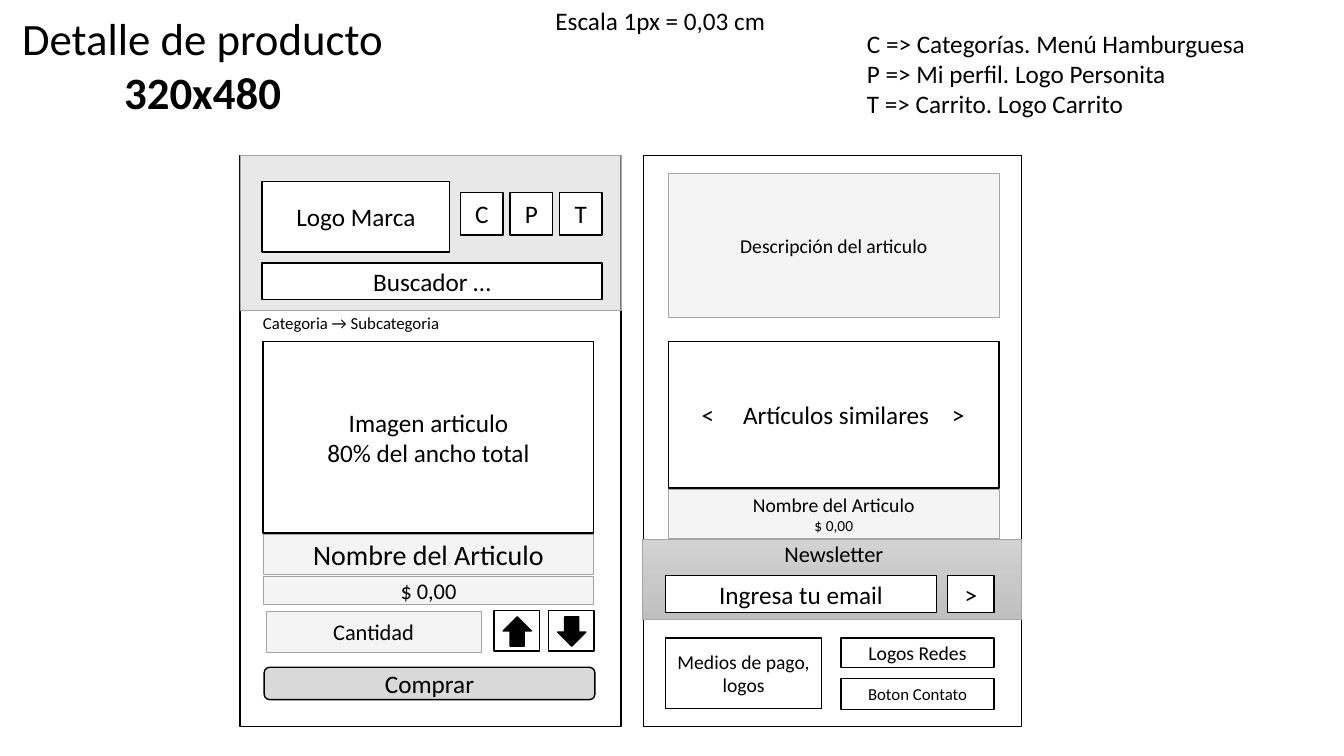
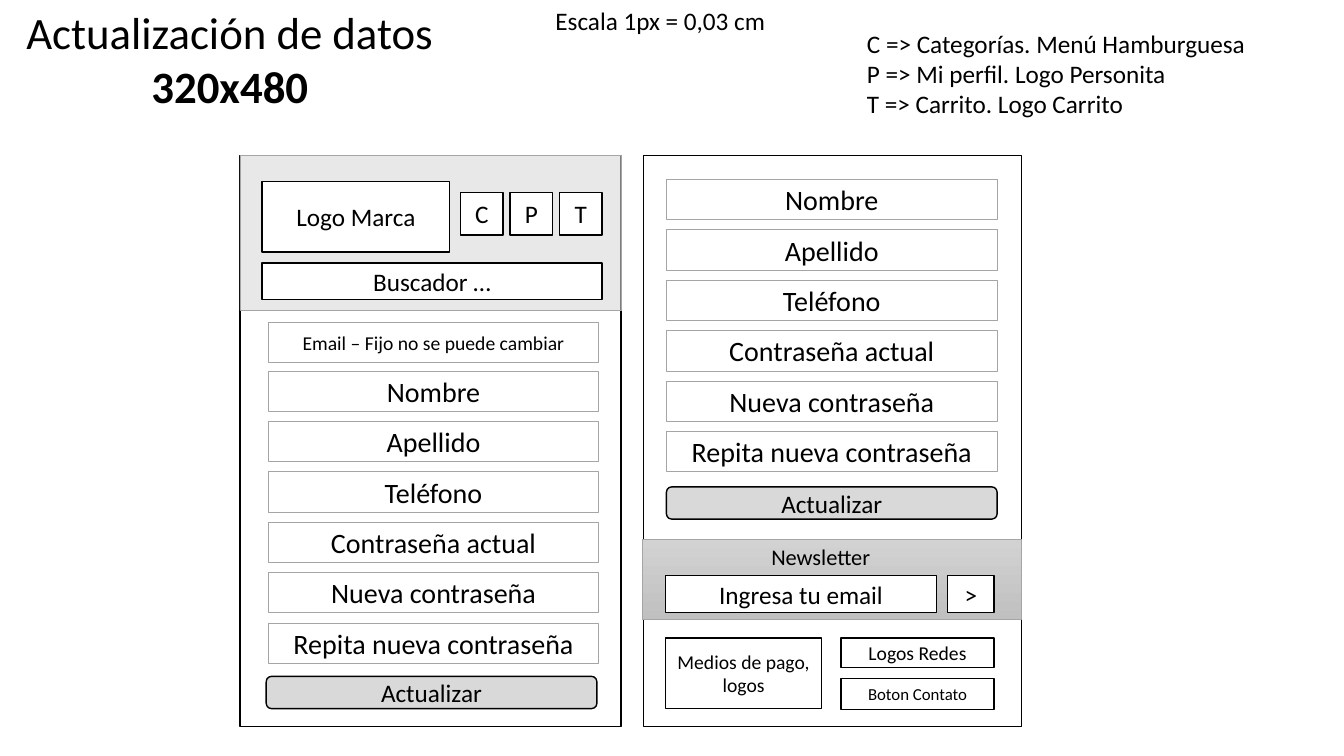
"""Builds two mobile wireframe slides: product detail and data update."""
from lxml import etree
from pptx import Presentation
from pptx.dml.color import RGBColor
from pptx.enum import shapes, text
from pptx.oxml import ns
from pptx.util import Inches, Pt

COLORS = {"ink": "000000", "paper": "FFFFFF", "gray": "D9D9D9", "edge": "A5A5A5",
          "band_top": "D2D2D2", "band_bottom": "C0C0C0"}
FONT = "Calibri"
RECT = shapes.MSO_SHAPE.RECTANGLE
CENTER, LEFT = text.PP_ALIGN.CENTER, text.PP_ALIGN.LEFT
FIELD_W, FIELD_H, FIELD_STEP = 3.28, 0.4, 0.5
FIELDS = ["Nombre", "Apellido", "Teléfono", "Contraseña actual",
          "Nueva contraseña", "Repita nueva contraseña"]
LEGEND = ["C => Categorías. Menú Hamburguesa", "P => Mi perfil. Logo Personita",
          "T => Carrito. Logo Carrito"]


def rgb(name):
    return RGBColor.from_string(COLORS[name])


def write(frame, lines, sizes, align=CENTER, bold_last=False):
    """Fill a text frame with one run per line; sizes is one size or one per line."""
    if isinstance(sizes, (int, float)):
        sizes = [sizes] * len(lines)
    for index, (line, size) in enumerate(zip(lines, sizes)):
        paragraph = frame.paragraphs[0] if index == 0 else frame.add_paragraph()
        paragraph.alignment = align
        run = paragraph.add_run()
        run.text = line
        run.font.name, run.font.size = FONT, Pt(size)
        run.font.color.rgb = rgb("ink")
        run.font.bold = bold_last and index == len(lines) - 1


def box(parent, at, lines=(), size=18, fill="paper", edge="ink", alpha=None, kind=RECT):
    """Add an outlined shape with centred text."""
    shape = parent.shapes.add_shape(kind, *map(Inches, at))
    shape.shadow.inherit = False
    shape.fill.solid()
    shape.fill.fore_color.rgb = rgb(fill)
    if alpha:
        tint = shape._element.spPr.find(ns.qn("a:solidFill"))[0]
        etree.SubElement(tint, ns.qn("a:alpha"), val=str(alpha * 1000))
    shape.line.color.rgb = rgb(edge)
    shape.line.width = Pt(1 if edge == "ink" else 0.5)
    shape.text_frame.vertical_anchor = text.MSO_ANCHOR.MIDDLE
    write(shape.text_frame, lines, size)
    return shape


def pale(slide, at, lines, size):
    return box(slide, at, lines, size, "gray", "edge", alpha=28)


def button(slide, left, top, label):
    box(slide, (left, top, FIELD_W, 0.32), [label], fill="gray",
        kind=shapes.MSO_SHAPE.ROUNDED_RECTANGLE)


def label(slide, at, lines, size=18, align=LEFT, wrap=False):
    """Add plain text without an outline."""
    frame = slide.shapes.add_textbox(*map(Inches, at)).text_frame
    frame.word_wrap = wrap
    frame.auto_size = text.MSO_AUTO_SIZE.SHAPE_TO_FIT_TEXT
    write(frame, lines, size, align)


def title(slide, at, name):
    """Place and format the title placeholder."""
    heading = slide.shapes.title
    heading.left, heading.top, heading.width, heading.height = map(Inches, at)
    frame = heading.text_frame
    frame.word_wrap = False
    frame.auto_size = text.MSO_AUTO_SIZE.SHAPE_TO_FIT_TEXT
    frame.vertical_anchor = text.MSO_ANCHOR.TOP
    write(frame, [name, "320x480"], 32, bold_last=True)


def header(slide):
    """Draw the left screen with logo, icons and search."""
    box(slide, (2.38, 1.54, 3.78, 5.67))
    box(slide, (2.38, 1.54, 3.78, 1.54), fill="gray", edge="edge", alpha=58)
    box(slide, (2.6, 1.8, 1.86, 0.7), ["Logo Marca"])
    for index, icon in enumerate("CPT"):
        box(slide, (4.57 + 0.49 * index, 1.91, 0.42, 0.42), [icon])
    box(slide, (2.6, 2.61, 3.37, 0.36), ["Buscador …"])


def footer(slide, newsletter_at):
    """Draw the right screen with newsletter band and footer boxes."""
    box(slide, (6.38, 1.54, 3.75, 5.67))
    band = box(slide, (6.37, 5.35, 3.76, 0.8), edge="edge")
    band.fill.gradient()
    band.fill.gradient_angle = 270
    for stop, color in zip(band.fill.gradient_stops, ("band_top", "band_bottom")):
        stop.color.rgb = rgb(color)
    label(slide, (*newsletter_at, FIELD_W, 0.37), ["Newsletter"], 16, CENTER, True)
    box(slide, (6.6, 5.71, 2.69, 0.37), ["Ingresa tu email"])
    box(slide, (9.4, 5.71, 0.46, 0.37), [">"])
    box(slide, (6.6, 6.33, 1.55, 0.7), ["Medios de pago, logos"], 14)
    box(slide, (8.34, 6.33, 1.52, 0.29), ["Logos Redes"], 14)
    box(slide, (8.34, 6.73, 1.52, 0.31), ["Boton Contato"], 12)


def wireframe(deck, name, title_at, newsletter_at):
    """Add a slide with everything the wireframes share."""
    slide = deck.slides.add_slide(deck.slide_layouts[5])
    title(slide, title_at, name)
    label(slide, (5.41, 0, 2.31, 0.4), ["Escala 1px = 0,03 cm"])
    label(slide, (8.5, 0.23, 4, 1.01), LEGEND)
    header(slide)
    footer(slide, newsletter_at)
    return slide


def stepper(slide, left, kind):
    """Add a grouped quantity arrow."""
    group = slide.shapes.add_group_shape()
    box(group, (left, 6.06, 0.45, 0.4))
    box(group, (left + 0.09, 6.12, 0.28, 0.29), fill="ink", kind=kind)


def carousel(slide):
    """Add the similar items box, its arrows spaced by tab stops."""
    similar = box(slide, (6.63, 3.39, FIELD_W, 1.45), ["<\tArtículos similares\t>"])
    similar.text_frame.margin_left = Inches(0.33)
    paragraph = similar.text_frame.paragraphs[0]
    paragraph.alignment = LEFT
    tabs = etree.SubElement(paragraph._p.get_or_add_pPr(), ns.qn("a:tabLst"))
    for stop in (0.41, 2.48):
        etree.SubElement(tabs, ns.qn("a:tab"), pos=str(Inches(stop)), algn="l")


def product_detail(deck):
    """Build the product detail slide."""
    slide = wireframe(deck, "Detalle de producto", (0.1, 0.06, 3.82, 1.18), (6.63, 5.31))
    label(slide, (2.51, 3.05, FIELD_W, 0.3), ["Categoria → Subcategoria"], 12, wrap=True)
    box(slide, (2.61, 3.39, FIELD_W, 1.9), ["Imagen articulo", "80% del ancho total"])
    pale(slide, (2.61, 5.3, FIELD_W, 0.4), ["Nombre del Articulo"], 20)
    pale(slide, (2.61, 5.72, FIELD_W, 0.28), ["$ 0,00"], 16)
    pale(slide, (2.64, 6.07, 2.13, 0.4), ["Cantidad"], 16)
    stepper(slide, 4.9, shapes.MSO_SHAPE.UP_ARROW)
    stepper(slide, 5.44, shapes.MSO_SHAPE.DOWN_ARROW)
    button(slide, 2.62, 6.62, "Comprar")
    pale(slide, (6.63, 1.72, FIELD_W, 1.43), ["Descripción del articulo"], 14)
    carousel(slide)
    pale(slide, (6.63, 4.85, FIELD_W, 0.49), ["Nombre del Articulo", "$ 0,00"], (14, 11))


def form(slide, left, top):
    """Stack the personal data fields at an equal step."""
    for index, field in enumerate(FIELDS):
        box(slide, (left, top + FIELD_STEP * index, FIELD_W, FIELD_H), [field], 20,
            edge="edge")


def data_update(deck):
    """Build the data update slide."""
    slide = wireframe(deck, "Actualización de datos", (0.14, 0, 4.28, 1.18), (6.5, 5.34))
    box(slide, (2.66, 3.2, FIELD_W, FIELD_H), ["Email – Fijo no se puede cambiar"], 14,
        edge="edge")
    form(slide, 2.66, 3.68)
    button(slide, 2.64, 6.71, "Actualizar")
    form(slide, 6.61, 1.78)
    button(slide, 6.61, 4.83, "Actualizar")


def main():
    deck = Presentation()
    deck.slide_width, deck.slide_height = Inches(13.33), Inches(7.5)
    product_detail(deck)
    data_update(deck)
    deck.save("out.pptx")


if __name__ == "__main__":
    main()
